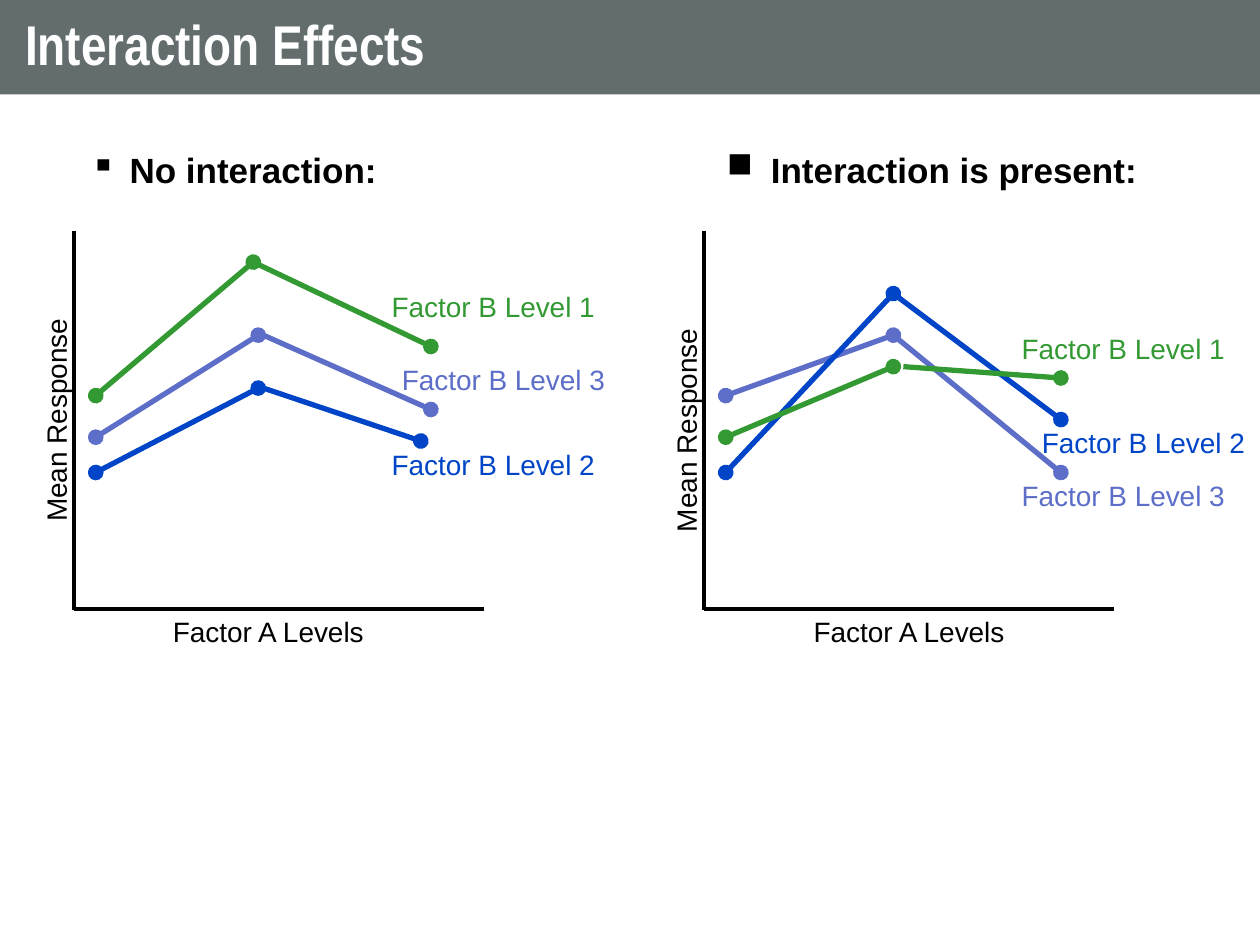
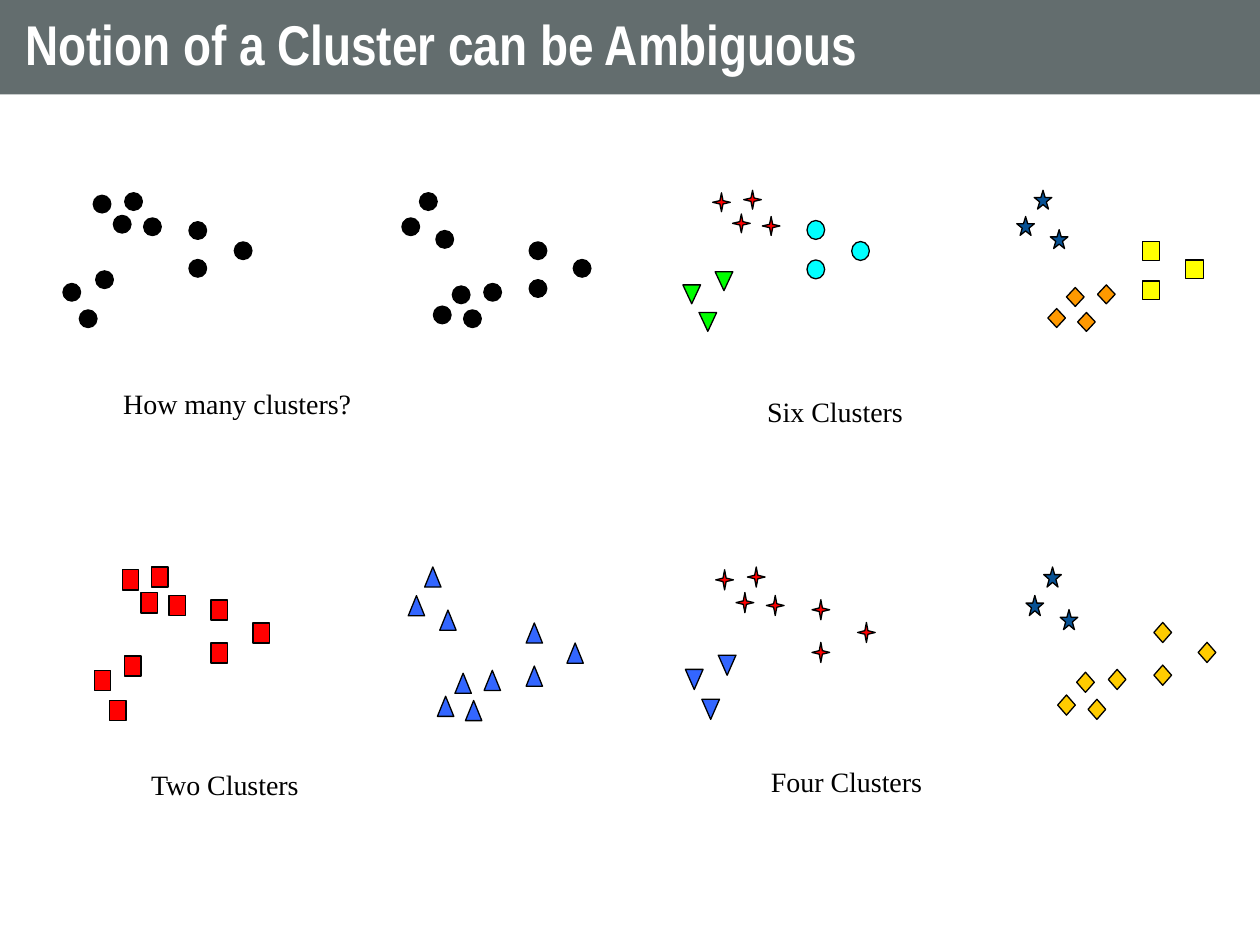
"""Build two slides: interaction effects and the ambiguity of clusters."""
from lxml.etree import SubElement
from pptx import Presentation
from pptx.dml.color import RGBColor
from pptx.enum.shapes import MSO_CONNECTOR, MSO_SHAPE as Shape
from pptx.enum.text import MSO_ANCHOR as Anchor, PP_ALIGN as Align
from pptx.oxml.ns import qn
from pptx.util import Inches, Pt

BLACK = RGBColor(0x00, 0x00, 0x00)
WHITE = RGBColor(0xFF, 0xFF, 0xFF)
SLATE = RGBColor(0x63, 0x6D, 0x6E)
GREEN = RGBColor(0x33, 0x99, 0x33)
VIOLET = RGBColor(0x5D, 0x6E, 0xC9)
BLUE = RGBColor(0x00, 0x45, 0xC7)
RED = RGBColor(0xFF, 0x00, 0x00)
AZURE = RGBColor(0x33, 0x66, 0xFF)
NAVY = RGBColor(0x08, 0x52, 0x95)
GOLD = RGBColor(0xFF, 0xCC, 0x00)
ORANGE = RGBColor(0xFF, 0x99, 0x00)
YELLOW = RGBColor(0xFF, 0xFF, 0x00)
LIME = RGBColor(0x00, 0xFF, 0x00)
CYAN = RGBColor(0x00, 0xFF, 0xFF)

# Factor level: name, colour, label corner, rising line, falling line
INTERACTION_PLOTS = [
    dict(left=0, heading="No interaction:", bullet="▪", indent=0.31,
         heading_left=0.62, response_top=3.15, factor_box=(1.17, 4.83, 1.92, 0.37),
         levels=[
             ("Factor B Level 1", GREEN, (3.01, 2.25),
              [(0.76, 3.14), (2.01, 2.08)], [(2.01, 2.08), (3.42, 2.75)]),
             ("Factor B Level 3", VIOLET, (3.09, 2.83),
              [(0.76, 3.47), (2.05, 2.66)], [(2.09, 2.66), (3.42, 3.25)]),
             ("Factor B Level 2", BLUE, (3.01, 3.5),
              [(0.76, 3.75), (2.05, 3.08)], [(2.09, 3.08), (3.34, 3.5)]),
         ]),
    dict(left=5, heading="Interaction is present:", bullet="■", indent=0.35,
         heading_left=0.67, response_top=3.23, factor_box=(1.09, 4.83, 2.25, 0.37),
         levels=[
             ("Factor B Level 3", VIOLET, (3.01, 3.75),
              [(0.76, 3.14), (2.09, 2.66)], [(2.09, 2.66), (3.42, 3.75)]),
             ("Factor B Level 2", BLUE, (3.17, 3.33),
              [(0.76, 3.75), (2.09, 2.33)], [(2.09, 2.33), (3.42, 3.33)]),
             ("Factor B Level 1", GREEN, (3.01, 2.58),
              [(0.76, 3.47), (2.09, 2.91)], [(2.17, 2.91), (3.42, 3)]),
         ]),
]
AXES = [[(0.59, 1.83), (0.59, 4.84)], [(0.59, 4.83), (3.84, 4.83)]]

POINT_GROUPS = {
    "upper left": [(0.64, 0.2), (0.24, 0.02), (0.49, 0), (0.4, 0.18)],
    "lower left": [(0.26, 0.62), (0, 0.72), (0.13, 0.93)],
    "mid left": [(1, 0.23), (1.36, 0.39), (1, 0.53)],
    "upper right": [(2.96, 0.3), (2.69, 0.2), (2.83, 0)],
    "lower right": [(3.34, 0.72), (2.94, 0.9), (3.18, 0.93), (3.09, 0.74)],
    "far right": [(3.7, 0.69), (4.05, 0.53), (3.7, 0.39)],
}
POINTS_WIDTH, POINTS_HEIGHT = 4.05, 0.93

DOT = (Shape.OVAL, BLACK)
SQUARE = (Shape.RECTANGLE, RED)
TRIANGLE = (Shape.ISOSCELES_TRIANGLE, AZURE)
SPARK = (Shape.STAR_4_POINT, RED)
STAR = (Shape.STAR_5_POINT, NAVY)
DIAMOND = (Shape.DIAMOND, GOLD)

# Markers follow the order of POINT_GROUPS
CLUSTERINGS = [
    dict(caption="How many clusters?", caption_box=(0.88, 3.02, 2.87, 0.44),
         area=(0.5, 1.53, 4.05, 0.93), marker=(0.14, 0.14), looks=[DOT] * 6),
    dict(caption="Six Clusters", caption_box=(5.99, 3.08, 2.82, 0.46),
         area=(5.42, 1.51, 3.99, 0.97), marker=(0.14, 0.15),
         looks=[SPARK, (Shape.FLOWCHART_MERGE, LIME), (Shape.OVAL, CYAN), STAR,
                (Shape.DIAMOND, ORANGE), (Shape.RECTANGLE, YELLOW)]),
    dict(caption="Two Clusters", caption_box=(1.1, 6.04, 2.65, 0.5),
         area=(0.75, 4.5, 3.75, 1.06), marker=(0.13, 0.16),
         looks=[SQUARE] * 3 + [TRIANGLE] * 3),
    dict(caption="Four Clusters", caption_box=(6.02, 6.02, 2.88, 0.49),
         area=(5.44, 4.5, 4.07, 1.05), marker=(0.14, 0.16),
         looks=[SPARK, (Shape.FLOWCHART_MERGE, AZURE), SPARK, STAR, DIAMOND, DIAMOND]),
]


def write(holder, text, *, size=16, font="Arial", color=BLACK, bold=False,
          align=Align.LEFT, anchor=Anchor.TOP, spacing=None, bullet=None, indent=0):
    frame = holder.text_frame
    frame.word_wrap = True
    frame.vertical_anchor = anchor
    paragraph = frame.paragraphs[0]
    paragraph.alignment = align
    if spacing:
        paragraph.line_spacing = spacing
    if bullet:
        properties = paragraph._p.get_or_add_pPr()
        properties.set("marL", str(Inches(indent)))
        properties.set("indent", str(-Inches(indent)))
        SubElement(properties, qn("a:buChar")).set("char", bullet)
    run = paragraph.add_run()
    run.text = text
    run.font.size, run.font.name, run.font.bold = Pt(size), font, bold
    run.font.color.rgb = color


def add_label(slide, box, text, rotation=0, **text_format):
    label = slide.shapes.add_textbox(*map(Inches, box))
    label.rotation = rotation
    write(label, text, **text_format)


def add_filled(slide, kind, box, fill, outline=None):
    shape = slide.shapes.add_shape(kind, *map(Inches, box))
    shape.shadow.inherit = False
    shape.fill.solid()
    shape.fill.fore_color.rgb = fill
    if outline is None:
        shape.line.fill.background()
    else:
        shape.line.color.rgb = outline
        shape.line.width = Pt(0.75)
    return shape


def add_line(slide, left, ends, color, width, dots=()):
    (x1, y1), (x2, y2) = ends
    line = slide.shapes.add_connector(
        MSO_CONNECTOR.STRAIGHT, *map(Inches, (left + x1, y1, left + x2, y2)))
    line.line.color.rgb = color
    line.line.width = Pt(width)
    for end in dots:
        SubElement(line.line._get_or_add_ln(), qn(f"a:{end}")).set("type", "oval")
    SubElement(line._element.spPr, qn("a:effectLst"))


def add_titled_slide(deck, title):
    slide = deck.slides.add_slide(deck.slide_layouts[6])
    band = add_filled(slide, Shape.RECTANGLE, (0, 0, 10, 0.75), SLATE)
    band.text_frame.margin_left = band.text_frame.margin_right = Inches(0.2)
    band.text_frame.margin_top = band.text_frame.margin_bottom = Inches(0.1)
    write(band, title, size=32, font="Arial Narrow", color=WHITE, bold=True,
          anchor=Anchor.MIDDLE, spacing=0.9)
    return slide


def draw_interaction(slide, plot):
    left = plot["left"]
    for _, color, _, rising, falling in plot["levels"]:
        add_line(slide, left, rising, color, 3, ("headEnd", "tailEnd"))
        add_line(slide, left, falling, color, 3, ("tailEnd",))
    for axis in AXES:
        add_line(slide, left, axis, BLACK, 2.25)
    for name, color, (x, y), _, _ in plot["levels"]:
        add_label(slide, (left + x, y, 1.92, 0.37), name, color=color)
    x, *rest = plot["factor_box"]
    add_label(slide, (left + x, *rest), "Factor A Levels", align=Align.CENTER)
    add_label(slide, (left - 0.64, plot["response_top"], 2.17, 0.37),
              "Mean Response", rotation=270, align=Align.CENTER)
    add_label(slide, (left + plot["heading_left"], 1.13, 4, 0.45), plot["heading"],
              size=20, bold=True, bullet=plot["bullet"], indent=plot["indent"])


def draw_clustering(slide, clustering):
    left, top, width, height = clustering["area"]
    for points, (kind, fill) in zip(POINT_GROUPS.values(), clustering["looks"]):
        for x, y in points:
            corner = (left + x * width / POINTS_WIDTH, top + y * height / POINTS_HEIGHT)
            add_filled(slide, kind, corner + clustering["marker"], fill, BLACK)
    add_label(slide, clustering["caption_box"], clustering["caption"],
              font="Times New Roman")


def main():
    deck = Presentation()
    deck.slide_width, deck.slide_height = Inches(10), Inches(7.5)
    interaction = add_titled_slide(deck, "Interaction Effects")
    for plot in INTERACTION_PLOTS:
        draw_interaction(interaction, plot)
    clusters = add_titled_slide(deck, "Notion of a Cluster can be Ambiguous")
    for clustering in CLUSTERINGS:
        draw_clustering(clusters, clustering)
    deck.save("out.pptx")


if __name__ == "__main__":
    main()
